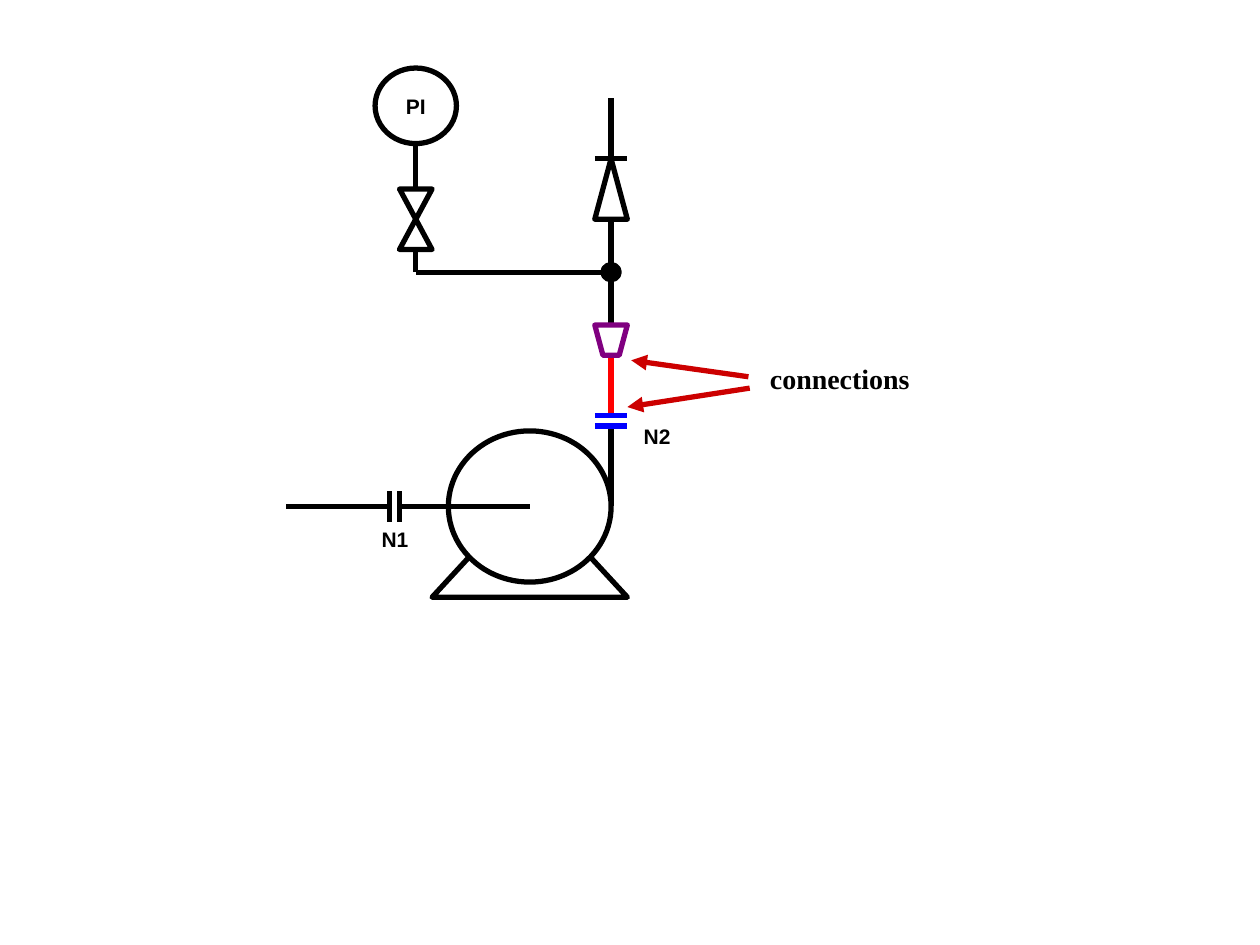
from lxml.etree import SubElement
from pptx import Presentation
from pptx.dml.color import RGBColor
from pptx.enum.shapes import MSO_CONNECTOR, MSO_SHAPE
from pptx.enum.text import MSO_ANCHOR, MSO_AUTO_SIZE, PP_ALIGN
from pptx.oxml.ns import qn
from pptx.util import Inches, Pt

BLACK = RGBColor(0, 0, 0)
WHITE = RGBColor(255, 255, 255)
BLUE = RGBColor(0, 0, 255)
RED = RGBColor(255, 0, 0)
BRICK = RGBColor(204, 0, 0)
PURPLE = RGBColor(128, 0, 128)

# Grid: columns count from the riser pipe, rows from the top of the slide
RISER, COL, ROW = 4.85, 1.55 / 12, 0.12
GAUGE = -12  # column of the gauge branch
PIPE = 33.5  # row of the suction pipe
LABEL = {"size": Pt(12), "name": "Arial", "bold": True}
NOTE = {"size": Pt(16), "name": "Times New Roman", "bold": True}


def place(col, row):
    return Inches(RISER + col * COL), Inches(row * ROW)


def paint(item, fill, line):
    item.shadow.inherit = False
    item.fill.solid()
    item.fill.fore_color.rgb = fill
    item.line.color.rgb = line
    item.line.width = Pt(3)


def add_line(slide, start, end, color=BLACK, arrow=False):
    line = slide.shapes.add_connector(
        MSO_CONNECTOR.STRAIGHT, *place(*start), *place(*end))
    line.line.color.rgb = color
    line.line.width = Pt(3)
    props = line._element.spPr
    if arrow:
        SubElement(props.find(qn("a:ln")), qn("a:tailEnd"), type="triangle")
    SubElement(props, qn("a:effectLst"))


def add_form(slide, kind, col, row, wide, high, fill=WHITE):
    """Draw a preset shape, centred on a column, from its top row."""
    form = slide.shapes.add_shape(
        kind, *place(col - wide / 2, row), Inches(wide * COL), Inches(high * ROW))
    paint(form, fill, BLACK)
    return form


def add_poly(slide, points, color):
    first, *rest = [place(*point) for point in points]
    pen = slide.shapes.build_freeform(*first)
    pen.add_line_segments(rest, close=True)
    paint(pen.convert_to_shape(), WHITE, color)


def write(frame, text, style):
    frame.word_wrap = False
    frame.vertical_anchor = MSO_ANCHOR.MIDDLE
    para = frame.paragraphs[0]
    para.alignment = PP_ALIGN.CENTER
    run = para.add_run()
    run.text = text
    for key, value in style.items():
        setattr(run.font, key, value)
    run.font.color.rgb = BLACK


def add_label(slide, text, col, row, wide, high, style=LABEL):
    """Place a text box centred on a grid point."""
    box = slide.shapes.add_textbox(
        *place(col - wide / 2, row - high / 2),
        Inches(wide * COL), Inches(high * ROW))
    write(box.text_frame, text, style)
    box.text_frame.auto_size = MSO_AUTO_SIZE.SHAPE_TO_FIT_TEXT


def draw_pump(slide):
    add_form(slide, MSO_SHAPE.ISOSCELES_TRIANGLE, -5, 32.5, 12, 7)
    # Riser and discharge pipe
    add_line(slide, (0, 27.5), (0, 6.5))
    add_line(slide, (0, PIPE), (0, 28.25))
    # Casing and suction pipe
    add_form(slide, MSO_SHAPE.OVAL, -5, 28.5, 10, 10)
    add_line(slide, (-5, PIPE), (-13, PIPE))
    add_line(slide, (-13.6, PIPE), (-20, PIPE))


def draw_riser(slide):
    # Junction, check valve and reducer
    add_form(slide, MSO_SHAPE.OVAL, 0, 17.5, 1, 1, BLACK)
    add_form(slide, MSO_SHAPE.ISOSCELES_TRIANGLE, 0, 10.5, 2, 4)
    add_line(slide, (-1, 10.5), (1, 10.5))
    add_poly(slide, [(-1, 21.5), (1, 21.5), (0.5, 23.5), (-0.5, 23.5)], PURPLE)


def draw_gauge(slide):
    add_line(slide, (0, 18), (GAUGE, 18))
    add_line(slide, (GAUGE, 18), (GAUGE, 9.5))
    dial = add_form(slide, MSO_SHAPE.OVAL, GAUGE, 4.5, 5, 5)
    write(dial.text_frame, "PI", LABEL)
    # Isolation valve: two triangles tip to tip
    for row, turn in ((14.5, 0), (12.5, 180)):
        half = add_form(slide, MSO_SHAPE.ISOSCELES_TRIANGLE, GAUGE, row, 2, 2)
        half.rotation = turn


def draw_joints(slide):
    # Each flange pair has a white gap between its faces
    for row, color in ((27.83, WHITE), (27.5, BLUE), (28.17, BLUE)):
        add_line(slide, (-1, row), (1, row), color)
    for col, color in ((-13.3, WHITE), (-13, BLACK), (-13.6, BLACK)):
        add_line(slide, (col, PIPE - 1), (col, PIPE + 1), color)
    add_label(slide, "N1", -13.28, 35.67, 3.2, 2.5)
    add_label(slide, "N2", 2.83, 28.83, 3.2, 2.5)


def draw_notes(slide):
    add_line(slide, (0, 27.33), (0, 23.67), RED)
    add_line(slide, (8.44, 24.92), (1.24, 23.83), BRICK, arrow=True)
    add_line(slide, (8.52, 25.67), (1, 26.92), BRICK, arrow=True)
    add_label(slide, "connections", 14.05, 25.04, 10.14, 3.08, NOTE)


def main():
    deck = Presentation()
    deck.slide_width, deck.slide_height = Inches(10), Inches(7.5)
    slide = deck.slides.add_slide(deck.slide_layouts[6])
    for draw in (draw_pump, draw_riser, draw_gauge, draw_joints, draw_notes):
        draw(slide)
    deck.save("out.pptx")


if __name__ == "__main__":
    main()
